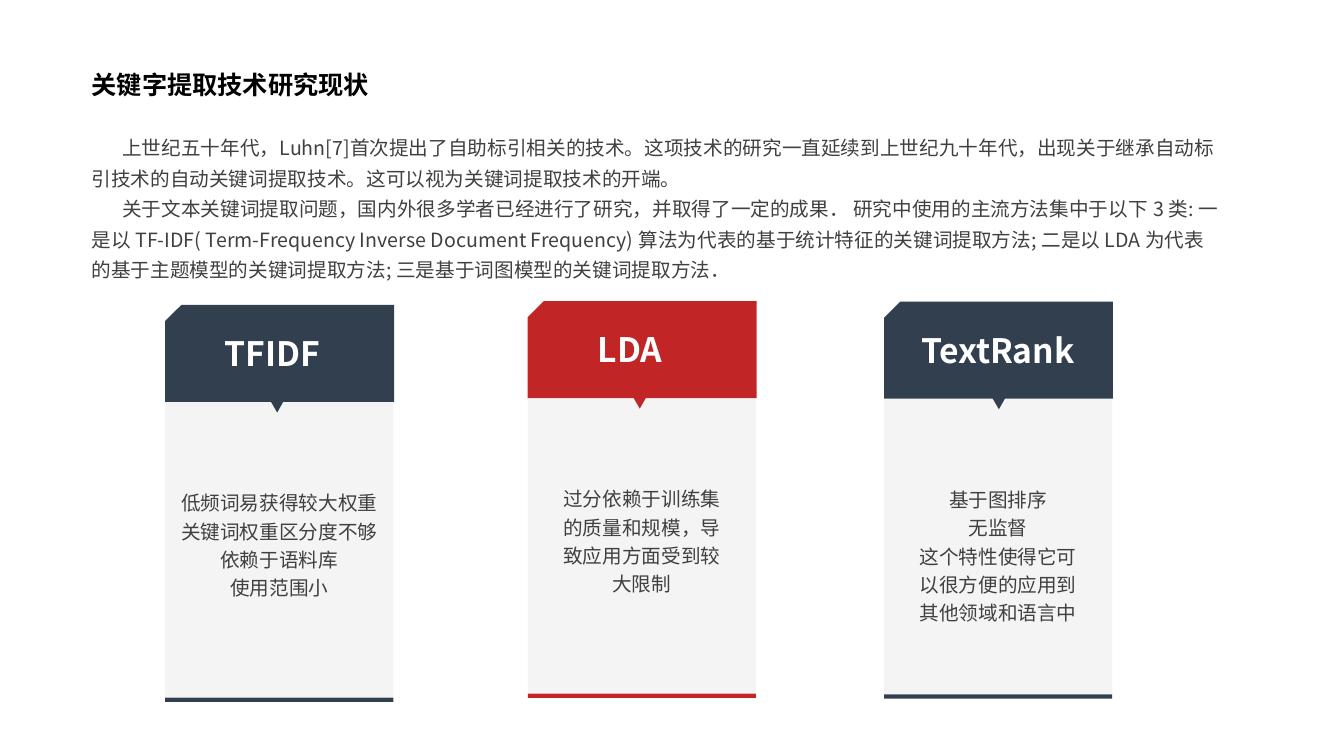
from pptx import Presentation
from pptx.dml.color import RGBColor
from pptx.enum.shapes import MSO_SHAPE
from pptx.enum.text import MSO_ANCHOR, PP_ALIGN
from pptx.oxml.ns import qn
from pptx.util import Pt
from lxml import etree

FONT = "Noto Sans CJK SC"
NAVY, RED, GRAY, TEXT = "323F4F", "C12525", "878787", "404040"


def write(shape, box, lines, size, color, bold=False, align=PP_ALIGN.LEFT, spacing=1.0, indent=0):
    shape.left, shape.top, shape.width, shape.height = [Pt(value) for value in box]
    frame = shape.text_frame
    frame.word_wrap = True
    frame.vertical_anchor = MSO_ANCHOR.TOP
    frame.text = "\n".join(lines)
    for paragraph in frame.paragraphs:
        paragraph.alignment = align
        paragraph.line_spacing = spacing
        paragraph.space_before = Pt(0)
        if indent:
            paragraph._p.get_or_add_pPr().set("indent", str(Pt(indent)))
        for run in paragraph.runs:
            run.font.size = Pt(size)
            run.font.bold = bold
            run.font.name = FONT
            run.font.color.rgb = RGBColor.from_string(color)
            east_asian = etree.SubElement(run._r.get_or_add_rPr(), qn("a:ea"))
            east_asian.set("typeface", FONT)


def add_block(kind, left, top, width, height, color):
    shape = slide.shapes.add_shape(kind, Pt(left), Pt(top), Pt(width), Pt(height))
    shape.shadow.inherit = False
    shape.fill.solid()
    shape.fill.fore_color.rgb = RGBColor.from_string(color)
    shape.line.fill.background()
    return shape


presentation = Presentation()
presentation.slide_width, presentation.slide_height = Pt(960), Pt(540)
slide = presentation.slides.add_slide(presentation.slide_layouts[5])

write(slide.shapes.title, (58.3, 46, 352, 29), ["关键字提取技术研究现状"], 18, "000000", bold=True)

introduction = [
    "上世纪五十年代，Luhn[7]首次提出了自助标引相关的技术。这项技术的研究一直延续到上世纪九十年代，"
    "出现关于继承自动标引技术的自动关键词提取技术。这可以视为关键词提取技术的开端。",
    "关于文本关键词提取问题，国内外很多学者已经进行了研究，并取得了一定的成果． "
    "研究中使用的主流方法集中于以下 3 类: 一是以 TF-IDF( Term-Frequency Inverse Document Frequency) "
    "算法为代表的基于统计特征的关键词提取方法; 二是以 LDA 为代表的基于主题模型的关键词提取方法; "
    "三是基于词图模型的关键词提取方法．",
]
write(slide.shapes.add_textbox(0, 0, 0, 0), (58.3, 88.6, 821.5, 115), introduction, 14, TEXT,
      spacing=1.3, indent=22)

cards = [
    ("TFIDF", NAVY, 118, 217.8, 75, 35.4, 0,
     ["低频词易获得较大权重", "关键词权重区分度不够", "依赖于语料库", "使用范围小"]),
    ("LDA", RED, 377, 215, 75, 42.8, 12,
     ["过分依赖于训练集的质量和规模，导致应用方面受到较大限制"]),
    ("TextRank", NAVY, 631.5, 215.5, 77, 19.4, 12,
     ["基于图排序", "无监督", "这个特性使得它可以很方便的应用到其他领域和语言中"]),
]
for name, color, left, top, pointer_offset, name_offset, margin, lines in cards:
    body = add_block(MSO_SHAPE.RECTANGLE, left, top + 69.5, 163, 210.5, GRAY)
    fill_color = body.element.spPr.find(qn("a:solidFill"))[0]
    etree.SubElement(fill_color, qn("a:alpha")).set("val", "9000")
    header = add_block(MSO_SHAPE.SNIP_1_RECTANGLE, left, top, 163.5, 69.3, color)
    header.element.spPr.xfrm.set("flipH", "1")
    pointer = add_block(MSO_SHAPE.ISOSCELES_TRIANGLE, left + pointer_offset, top + 63, 13, 11, color)
    pointer.rotation = 60
    add_block(MSO_SHAPE.RECTANGLE, left, top + 280.5, 163, 3, color)
    write(slide.shapes.add_textbox(0, 0, 0, 0), (left + name_offset, top + 16.4, 127, 36), [name], 24,
          "FFFFFF", bold=True)
    write(slide.shapes.add_textbox(0, 0, 0, 0), (left + margin, top + 126.2, 163 - 2 * margin, 107), lines,
          14, TEXT, align=PP_ALIGN.CENTER, spacing=1.2)

presentation.save("out.pptx")
